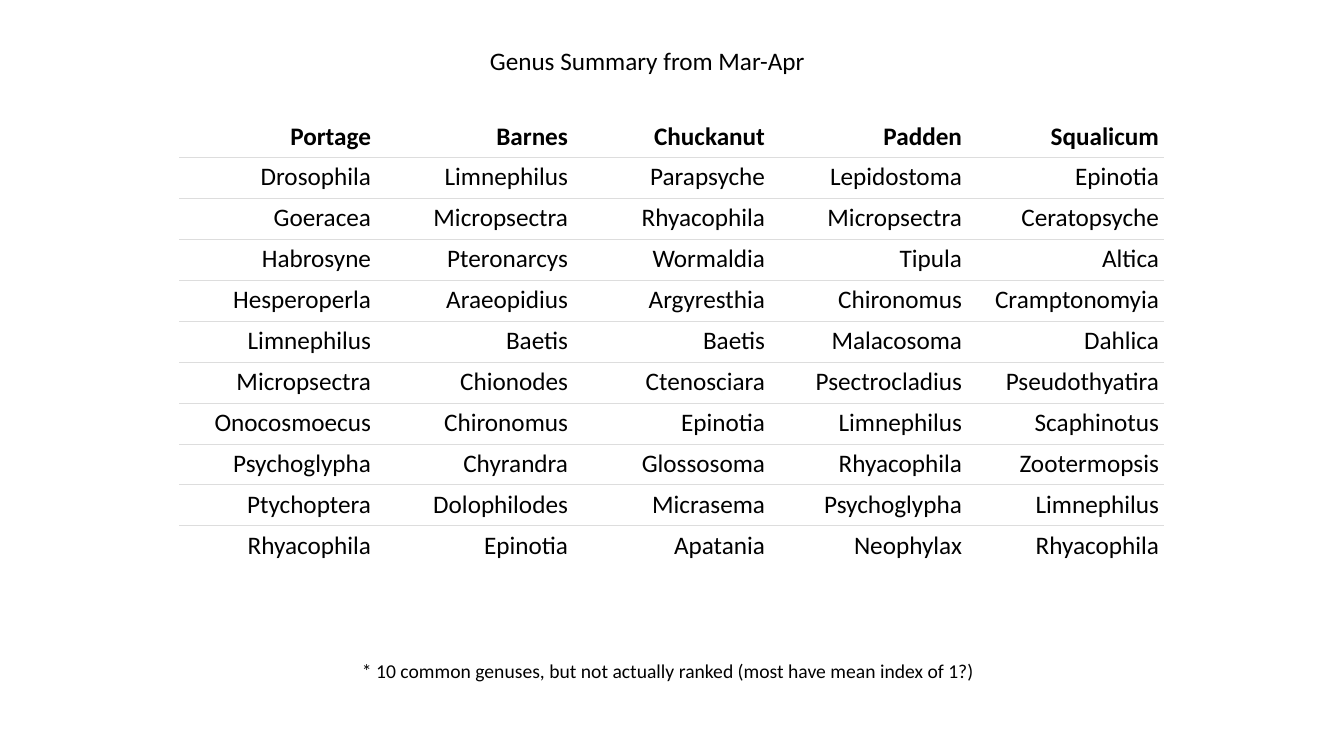
from lxml import etree
from pptx import Presentation
from pptx.dml.color import RGBColor
from pptx.enum.text import MSO_ANCHOR, PP_ALIGN
from pptx.oxml.ns import qn
from pptx.util import Pt

RIGHT = PP_ALIGN.RIGHT
BOTTOM, TOP = MSO_ANCHOR.BOTTOM, MSO_ANCHOR.TOP
EMU_PER_PIXEL = 914400 / 100.8
COLUMN_WIDTH, ROW_HEIGHT, CELL_MARGIN = 197, 41, 5

GENUS_ROWS = [
    ["Portage", "Barnes", "Chuckanut", "Padden", "Squalicum"],
    ["Drosophila", "Limnephilus", "Parapsyche", "Lepidostoma", "Epinotia"],
    ["Goeracea", "Micropsectra", "Rhyacophila", "Micropsectra", "Ceratopsyche"],
    ["Habrosyne", "Pteronarcys", "Wormaldia", "Tipula", "Altica"],
    ["Hesperoperla", "Araeopidius", "Argyresthia", "Chironomus", "Cramptonomyia"],
    ["Limnephilus", "Baetis", "Baetis", "Malacosoma", "Dahlica"],
    ["Micropsectra", "Chionodes", "Ctenosciara", "Psectrocladius", "Pseudothyatira"],
    ["Onocosmoecus", "Chironomus", "Epinotia", "Limnephilus", "Scaphinotus"],
    ["Psychoglypha", "Chyrandra", "Glossosoma", "Rhyacophila", "Zootermopsis"],
    ["Ptychoptera", "Dolophilodes", "Micrasema", "Psychoglypha", "Limnephilus"],
    ["Rhyacophila", "Epinotia", "Apatania", "Neophylax", "Rhyacophila"],
]
CAPTIONS = [
    ("Genus Summary from Mar-Apr", 18, (480, 40, 346, 40)),
    ("* 10 common genuses, but not actually ranked (most have mean index of 1?)",
     14, (352, 654, 657, 34)),
]


def px(length):
    return round(length * EMU_PER_PIXEL)


def style_font(paragraph, size, bold=False, color="000000"):
    font = paragraph.font
    font.name = "Calibri"
    font.size = Pt(size)
    font.bold = bold
    font.color.rgb = RGBColor.from_string(color)


presentation = Presentation()
presentation.slide_width = px(1344)
presentation.slide_height = px(756)
slide = presentation.slides.add_slide(presentation.slide_layouts[6])

row_count, column_count = len(GENUS_ROWS), len(GENUS_ROWS[0])
table = slide.shapes.add_table(
    row_count, column_count, px(179), px(116),
    px(COLUMN_WIDTH * column_count), px(ROW_HEIGHT * row_count)).table
table.horz_banding = False
for column in table.columns:
    column.width = px(COLUMN_WIDTH)
for row in table.rows:
    row.height = px(ROW_HEIGHT)

for row_index, genera in enumerate(GENUS_ROWS):
    is_header = row_index == 0
    ruled_edges = {"a:lnT": not is_header, "a:lnB": row_index < row_count - 1}
    for column_index, genus in enumerate(genera):
        cell = table.cell(row_index, column_index)
        cell.text = genus
        cell.margin_left = cell.margin_right = px(CELL_MARGIN)
        cell.margin_top = cell.margin_bottom = px(CELL_MARGIN)
        cell.vertical_anchor = BOTTOM if is_header else TOP
        paragraph = cell.text_frame.paragraphs[0]
        paragraph.alignment = RIGHT
        style_font(paragraph, 18, bold=is_header)
        properties = cell._tc.get_or_add_tcPr()
        for edge in ("a:lnL", "a:lnR", "a:lnT", "a:lnB"):
            line = etree.SubElement(properties, qn(edge), w=str(Pt(0.75)))
            if ruled_edges.get(edge):
                fill = etree.SubElement(line, qn("a:solidFill"))
                etree.SubElement(fill, qn("a:srgbClr"), val="DDDDDD")
            else:
                etree.SubElement(line, qn("a:noFill"))
        cell.fill.solid()
        cell.fill.fore_color.rgb = RGBColor.from_string("FFFFFF")

for text, size, box in CAPTIONS:
    text_frame = slide.shapes.add_textbox(*map(px, box)).text_frame
    text_frame.word_wrap = True
    text_frame.text = text
    style_font(text_frame.paragraphs[0], size)

presentation.save("out.pptx")
